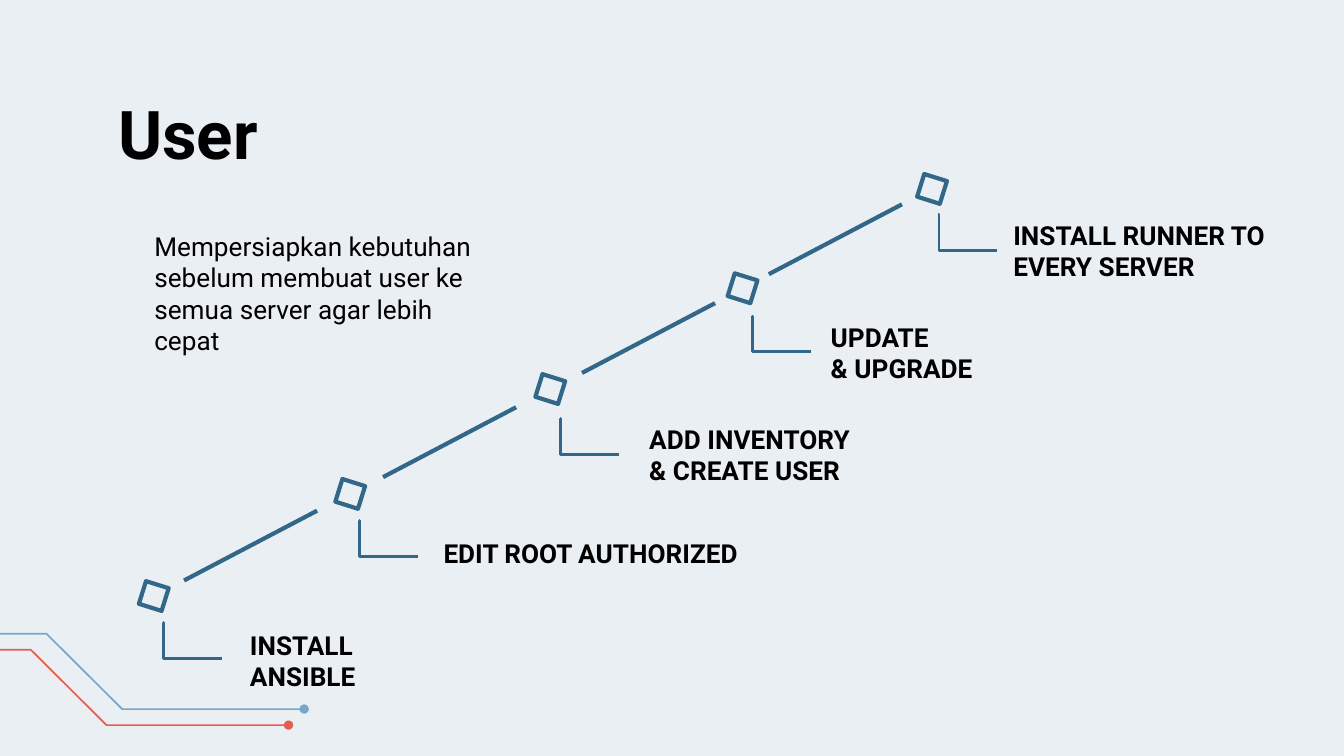
import pptx
import pptx.util
import pptx.dml.color
import pptx.enum.shapes
import pptx.enum.text
import pptx.oxml.ns
import lxml.etree

Pt = pptx.util.Pt
SHAPE = pptx.enum.shapes.MSO_SHAPE
CONNECTOR = pptx.enum.shapes.MSO_CONNECTOR
ANCHOR = pptx.enum.text.MSO_ANCHOR

FONT = "Roboto"
BACKGROUND, BLACK, STEEL = "EAEFF3", "000000", "33678A"
SKY, CORAL = "78A6C9", "E65C4F"

MARKER_SIZE = 18
STEPS = [
    ("INSTALL\nANSIBLE", (73.4, 310.3), (87.1, 333.4), (133.9, 333.4, 219.6, 41)),
    ("EDIT ROOT AUTHORIZED", (178.6, 255.6), (192.4, 278.8), (237.6, 284.5, 219.6, 24.5)),
    ("ADD INVENTORY\v& CREATE USER", (285.8, 199.4), (300.1, 224.4), (347.8, 223.2, 219.6, 41)),
    ("UPDATE\n& UPGRADE", (388.8, 145.4), (402.7, 169.3), (445, 168.5, 219.6, 41)),
    ("INSTALL RUNNER TO EVERY SERVER", (490.3, 92.2), (502.7, 115), (542.9, 113.8, 177.1, 41)),
]
LINK_STARTS = [(98.6, 311), (205.2, 255.6), (311.8, 199.8), (411.9, 146.9)]
LINK_RUN, LINK_RISE = 71.3, 37.4
BRACKET_WIDTH, BRACKET_HEIGHT = 31.7, 19.2
TRACE = [(-11.5, 339.5), (24.9, 339.5), (65.5, 379.9), (162, 379.9)]
DOT_SIZE = 5


def rgb(color):
    return pptx.dml.color.RGBColor.from_string(color)


def add_text(s, text, box, size=14, bold=True, inset=(0, 3.6), anchor=ANCHOR.TOP):
    sp = s.shapes.add_textbox(*map(Pt, box))
    tf = sp.text_frame
    tf.word_wrap = True
    tf.vertical_anchor = anchor
    tf.margin_left = tf.margin_right = Pt(inset[0])
    tf.margin_top = tf.margin_bottom = Pt(inset[1])
    tf.text = text
    for p in tf.paragraphs:
        p.font.name = FONT
        p.font.size = Pt(size)
        p.font.bold = bold
        p.font.color.rgb = rgb(BLACK)


def add_marker(s, left, top):
    sp = s.shapes.add_shape(SHAPE.DIAMOND, Pt(left), Pt(top), Pt(MARKER_SIZE), Pt(MARKER_SIZE))
    sp.shadow.inherit = False
    sp.rotation = 332.4
    sp.fill.background()
    sp.line.color.rgb = rgb(STEEL)
    sp.line.width = Pt(2.25)


def add_line(s, kind, x, y, dx, dy, width):
    sp = s.shapes.add_connector(kind, Pt(x), Pt(y), Pt(x + dx), Pt(y + dy))
    sp.line.color.rgb = rgb(STEEL)
    sp.line.width = Pt(width)
    lxml.etree.SubElement(sp._element.spPr, pptx.oxml.ns.qn("a:effectLst"))
    return sp


def add_bracket(s, x, y):
    sp = add_line(s, CONNECTOR.ELBOW, x, y, BRACKET_WIDTH, BRACKET_HEIGHT, 1.5)
    guides = sp._element.spPr.find(".//" + pptx.oxml.ns.qn("a:avLst"))
    lxml.etree.SubElement(guides, pptx.oxml.ns.qn("a:gd"), name="adj1", fmla="val 1200")


def add_trace(s, color, dx, dy):
    points = [(Pt(x + dx), Pt(y + dy)) for x, y in TRACE]
    builder = s.shapes.build_freeform(*points[0])
    builder.add_line_segments(points[1:], close=False)
    sp = builder.convert_to_shape()
    sp.shadow.inherit = False
    sp.fill.background()
    sp.line.color.rgb = rgb(color)
    sp.line.width = Pt(0.9)

    x, y = points[-1]
    dot = s.shapes.add_shape(SHAPE.OVAL, x - Pt(1.5), y - Pt(DOT_SIZE / 2), Pt(DOT_SIZE), Pt(DOT_SIZE))
    dot.shadow.inherit = False
    dot.fill.solid()
    dot.fill.fore_color.rgb = rgb(color)
    dot.line.fill.background()


def main():
    prs = pptx.Presentation()
    prs.slide_width, prs.slide_height = Pt(720), Pt(405)
    s = prs.slides.add_slide(prs.slide_layouts[6])
    s.background.fill.solid()
    s.background.fill.fore_color.rgb = rgb(BACKGROUND)

    add_trace(s, SKY, 0, 0)
    add_trace(s, CORAL, -8.4, 8.6)
    add_text(s, "User", (56.2, 42.5, 611.3, 48.2), size=36, inset=(7.2, 7.2))
    for x, y in LINK_STARTS:
        add_line(s, CONNECTOR.STRAIGHT, x, y, LINK_RUN, -LINK_RISE, 2.25)
    for label, marker, bracket, box in STEPS:
        add_marker(s, *marker)
        add_bracket(s, *bracket)
        add_text(s, label, box)
    add_text(s, "Mempersiapkan kebutuhan sebelum membuat user ke semua server agar lebih cepat",
             (75.6, 119.5, 199.4, 74.9), bold=False, inset=(7.2, 3.6), anchor=ANCHOR.MIDDLE)
    prs.save("out.pptx")


if __name__ == "__main__":
    main()
